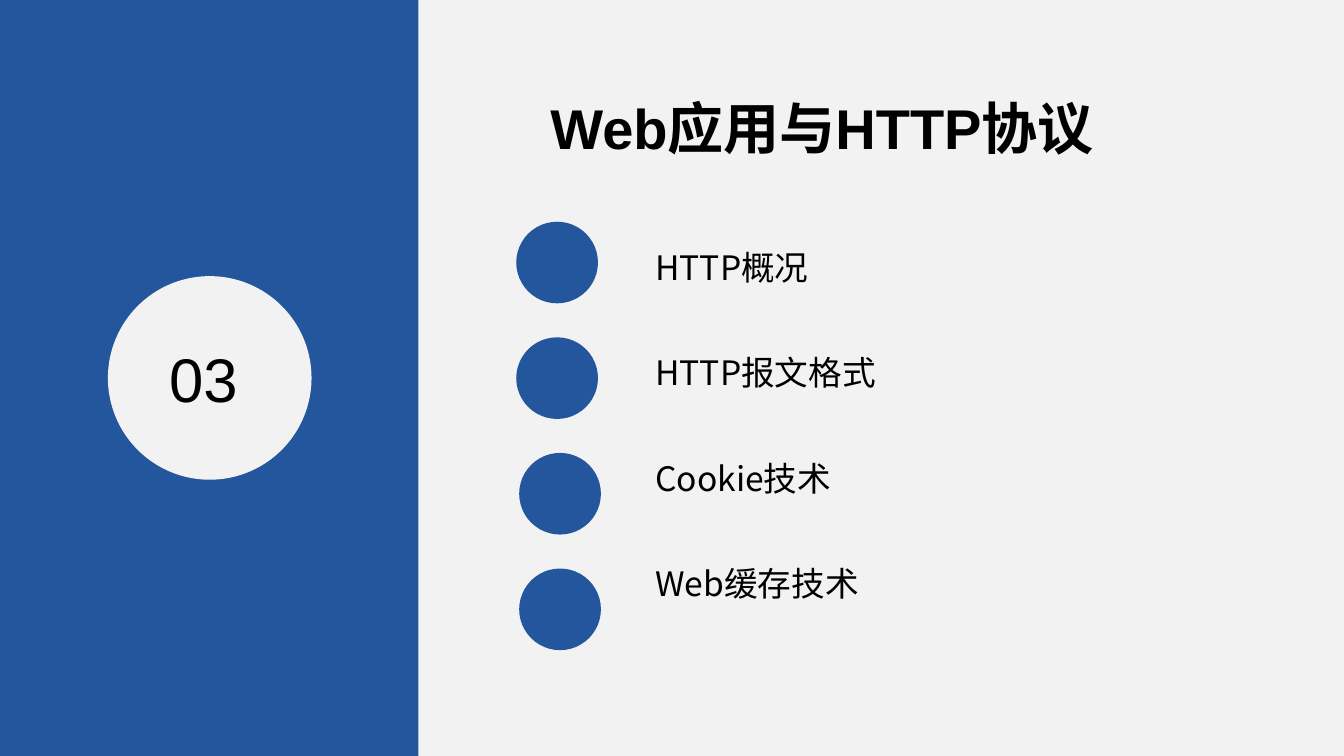
import pptx
import pptx.util
import pptx.dml.color
import pptx.enum.shapes
import pptx.enum.text
import pptx.oxml.ns
import lxml.etree

RGBColor = pptx.dml.color.RGBColor
BLUE = RGBColor(0x24, 0x56, 0x9D)
LIGHT = RGBColor(0xF2, 0xF2, 0xF2)
BLACK = RGBColor(0, 0, 0)

TOPICS = ["HTTP概况", "HTTP报文格式", "Cookie技术", "Web缓存技术"]
DOT_LEFTS = [38.41, 38.41, 38.63, 38.63]
DOT_TOP, ROW_PITCH = 29.33, 15.29


class SectionSlide:
    """Holds the style and the slide; lengths are percent of the slide's size."""

    latin, cjk = "Arial", "Noto Sans CJK SC"

    def __init__(self, prs):
        self.prs = prs
        self.s = prs.slides.add_slide(prs.slide_layouts[1])
        self.s.background.fill.solid()
        self.s.background.fill.fore_color.rgb = LIGHT

    def box(self, x, y, w, h):
        width, height = self.prs.slide_width, self.prs.slide_height
        return [int(share * size / 100) for share, size in
                ((x, width), (y, height), (w, width), (h, height))]

    def place(self, sp, *area):
        sp.left, sp.top, sp.width, sp.height = self.box(*area)

    def shape(self, kind, color, *area):
        sp = self.s.shapes.add_shape(kind, *self.box(*area))
        sp.shadow.inherit = False
        sp.fill.solid()
        sp.fill.fore_color.rgb = color
        sp.line.fill.background()

    def set_text(self, sp, lines, size, font, bold=False, wrap=False):
        tf = sp.text_frame
        tf.text = "\n".join(lines)
        tf.word_wrap = wrap
        tf.auto_size = pptx.enum.text.MSO_AUTO_SIZE.NONE
        tf.vertical_anchor = pptx.enum.text.MSO_ANCHOR.TOP
        for p in tf.paragraphs:
            p.alignment = pptx.enum.text.PP_ALIGN.LEFT
            p.space_before = pptx.util.Pt(0)
            p.font.name, p.font.size, p.font.bold = font, pptx.util.Pt(size), bold
            p.font.color.rgb = BLACK
            # East Asian face for the Chinese characters
            for r in p.runs:
                ea = lxml.etree.SubElement(r.font._element, pptx.oxml.ns.qn("a:ea"))
                ea.set("typeface", self.cjk)
        return tf.paragraphs

    def label(self, text, size, *area):
        sp = self.s.shapes.add_textbox(*self.box(*area))
        self.set_text(sp, [text], size, self.latin)

    def title(self, text, size, *area):
        sp = self.s.shapes.title
        self.place(sp, *area)
        self.set_text(sp, [text], size, self.latin, bold=True)

    def topics(self, lines, size, gap, *area):
        sp = self.s.placeholders[1]
        self.place(sp, *area)
        for p in self.set_text(sp, lines, size, self.cjk, wrap=True):
            p.line_spacing = 1.25
            p.space_after = pptx.util.Pt(gap)
            pPr = p._p.get_or_add_pPr()
            pPr.set("marL", "0")
            pPr.set("indent", "0")
            bullet = lxml.etree.Element(pptx.oxml.ns.qn("a:buNone"))
            pPr.find(pptx.oxml.ns.qn("a:spcAft")).addnext(bullet)


def main():
    prs = pptx.Presentation()
    prs.slide_width = pptx.util.Inches(13.33)
    prs.slide_height = pptx.util.Inches(7.5)
    slide = SectionSlide(prs)
    rect = pptx.enum.shapes.MSO_SHAPE.RECTANGLE
    oval = pptx.enum.shapes.MSO_SHAPE.OVAL

    # Side panel with the section number
    slide.shape(rect, BLUE, 0, 0, 31.13, 100)
    slide.shape(oval, LIGHT, 8.03, 36.53, 15.15, 26.93)
    slide.label("03", 44, 11.85, 44.4, 7.43, 11.2)

    # Section title
    slide.title("Web应用与HTTP协议", 40, 40.21, 11.73, 45.39, 10.27)

    # Topics, each with a dot
    for i, left in enumerate(DOT_LEFTS):
        slide.shape(oval, BLUE, left, DOT_TOP + i * ROW_PITCH, 6.08, 10.8)
    slide.topics(TOPICS, 24, 39.2, 48.01, 30.67, 48.69, 53.33)

    prs.save("out.pptx")


if __name__ == "__main__":
    main()
